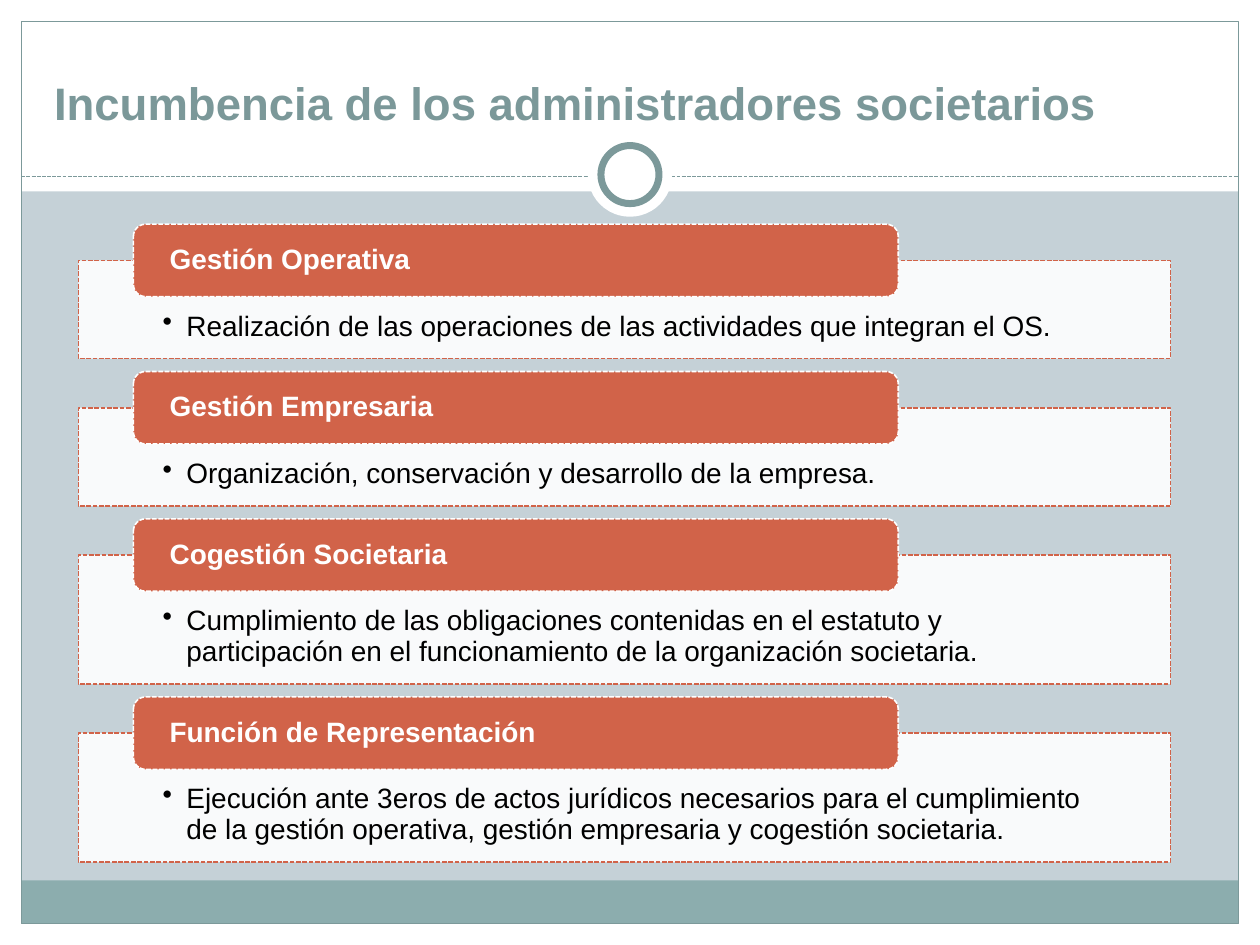
from lxml.etree import SubElement
from pptx import Presentation
from pptx.dml.color import RGBColor
from pptx.enum.dml import MSO_LINE
from pptx.enum.shapes import MSO_CONNECTOR, MSO_SHAPE
from pptx.enum.text import MSO_ANCHOR, PP_ALIGN
from pptx.oxml.ns import qn
from pptx.util import Cm, Pt

TITLE = "Incumbencia de los administradores societarios"
DUTIES = [
    ("Gestión Operativa",
     "Realización de las operaciones de las actividades que integran el OS.", 1),
    ("Gestión Empresaria",
     "Organización, conservación y desarrollo de la empresa.", 1),
    ("Cogestión Societaria",
     "Cumplimiento de las obligaciones contenidas en el estatuto y participación "
     "en el funcionamiento de la organización societaria.", 2),
    ("Función de Representación",
     "Ejecución ante 3eros de actos jurídicos necesarios para el cumplimiento de la "
     "gestión operativa, gestión empresaria y cogestión societaria.", 2),
]

WHITE, BLACK, ORANGE = "FFFFFF", "000000", "D16349"
BACKDROP, BAND, FRAME, HEADING = "C5D1D7", "8CADAE", "7C999A", "7B9899"
WIDTH, HEIGHT = 25.4, 19.05
MARGIN, HEADER = 0.43, 3.86
RULE_Y, RING_Y = 3.56, 3.52
FIRST_TAB, TAB_HEIGHT, GAP = 4.52, 1.46, 0.26
PANEL_HEIGHTS = {1: 1.98, 2: 2.6}


def color(code):
    return RGBColor.from_string(code)


def style_line(line, code, width, dashed=False):
    line.color.rgb = color(code)
    line.width = Pt(width)
    if dashed:
        line.dash_style = MSO_LINE.SQUARE_DOT


def add_block(kind, left, top, width, height, fill=None, line=None, line_width=0.75, dashed=False):
    block = slide.shapes.add_shape(kind, Cm(left), Cm(top), Cm(width), Cm(height))
    block.shadow.inherit = False
    if fill:
        block.fill.solid()
        block.fill.fore_color.rgb = color(fill)
    else:
        block.fill.background()
    if line:
        style_line(block.line, line, line_width, dashed)
    else:
        block.line.fill.background()
    return block


def write(block, text, size, code, bold, anchor, insets):
    frame = block.text_frame
    frame.word_wrap = True
    frame.vertical_anchor = anchor
    frame.margin_left, frame.margin_top, frame.margin_right, frame.margin_bottom = map(Cm, insets)
    paragraph = frame.paragraphs[0]
    paragraph.text = text
    paragraph.alignment = PP_ALIGN.LEFT
    paragraph.font.name = "Arial"
    paragraph.font.size = Pt(size)
    paragraph.font.bold = bold
    paragraph.font.color.rgb = color(code)
    return paragraph


def add_bullet(paragraph, indent):
    properties = paragraph._p.get_or_add_pPr()
    properties.set("marL", str(Cm(indent)))
    properties.set("indent", str(Cm(-indent)))
    bullet = properties.makeelement(qn("a:buChar"), {"char": "•"})
    properties.find(qn("a:defRPr")).addprevious(bullet)


def add_ring(diameter, **look):
    add_block(MSO_SHAPE.OVAL, (WIDTH - diameter) / 2, RING_Y - diameter / 2,
              diameter, diameter, WHITE, **look)


def add_duty(heading, detail, lines, top):
    panel_height = PANEL_HEIGHTS[lines]
    panel_top = top + TAB_HEIGHT / 2
    panel = add_block(MSO_SHAPE.RECTANGLE, 1.58, panel_top, 22.02, panel_height,
                      WHITE, ORANGE, 0.9, True)
    tint = panel._element.spPr.find(qn("a:solidFill")).find(qn("a:srgbClr"))
    SubElement(tint, qn("a:alpha"), val="90000")
    paragraph = write(panel, detail, 16, BLACK, False, MSO_ANCHOR.TOP, (1.7, 1.04, 1.7, 0.3))
    paragraph.line_spacing = 0.9
    add_bullet(paragraph, 0.48)
    tab = add_block(MSO_SHAPE.ROUNDED_RECTANGLE, 2.69, top, 15.42, TAB_HEIGHT,
                    ORANGE, WHITE, 0.9, True)
    write(tab, heading, 16, WHITE, True, MSO_ANCHOR.MIDDLE, (0.66, 0, 0.66, 0)).line_spacing = 0.9
    return panel_top + panel_height + GAP


presentation = Presentation()
presentation.slide_width, presentation.slide_height = Cm(WIDTH), Cm(HEIGHT)
slide = presentation.slides.add_slide(presentation.slide_layouts[6])
slide.background.fill.solid()
slide.background.fill.fore_color.rgb = color(BACKDROP)

inner_width = WIDTH - 2 * MARGIN
inner_bottom = HEIGHT - MARGIN
for left, top, width, height, fill in [
    (0, inner_bottom, WIDTH, MARGIN, WHITE),
    (0, 0, WIDTH, HEADER, WHITE),
    (0, 0, MARGIN, HEIGHT, WHITE),
    (WIDTH - MARGIN, 0, MARGIN, HEIGHT, WHITE),
    (MARGIN, inner_bottom - 0.87, inner_width, 0.87, BAND),
]:
    add_block(MSO_SHAPE.RECTANGLE, left, top, width, height, fill)
add_block(MSO_SHAPE.RECTANGLE, MARGIN, MARGIN, inner_width, HEIGHT - 2 * MARGIN, line=FRAME)

rule = slide.shapes.add_connector(MSO_CONNECTOR.STRAIGHT, Cm(MARGIN), Cm(RULE_Y),
                                  Cm(WIDTH - MARGIN), Cm(RULE_Y))
style_line(rule.line, FRAME, 0.75, True)
SubElement(rule._element.spPr, qn("a:effectLst"))
add_ring(1.7)
add_ring(1.17, line=FRAME, line_width=4)

title = slide.shapes.add_textbox(Cm(0.84), Cm(0.64), Cm(23.7), Cm(2.1))
write(title, TITLE, 26, HEADING, True, MSO_ANCHOR.BOTTOM, (0.25, 0.13, 0.25, 0.13))

tab_top = FIRST_TAB
for heading, detail, lines in DUTIES:
    tab_top = add_duty(heading, detail, lines, tab_top)

presentation.save("out.pptx")
